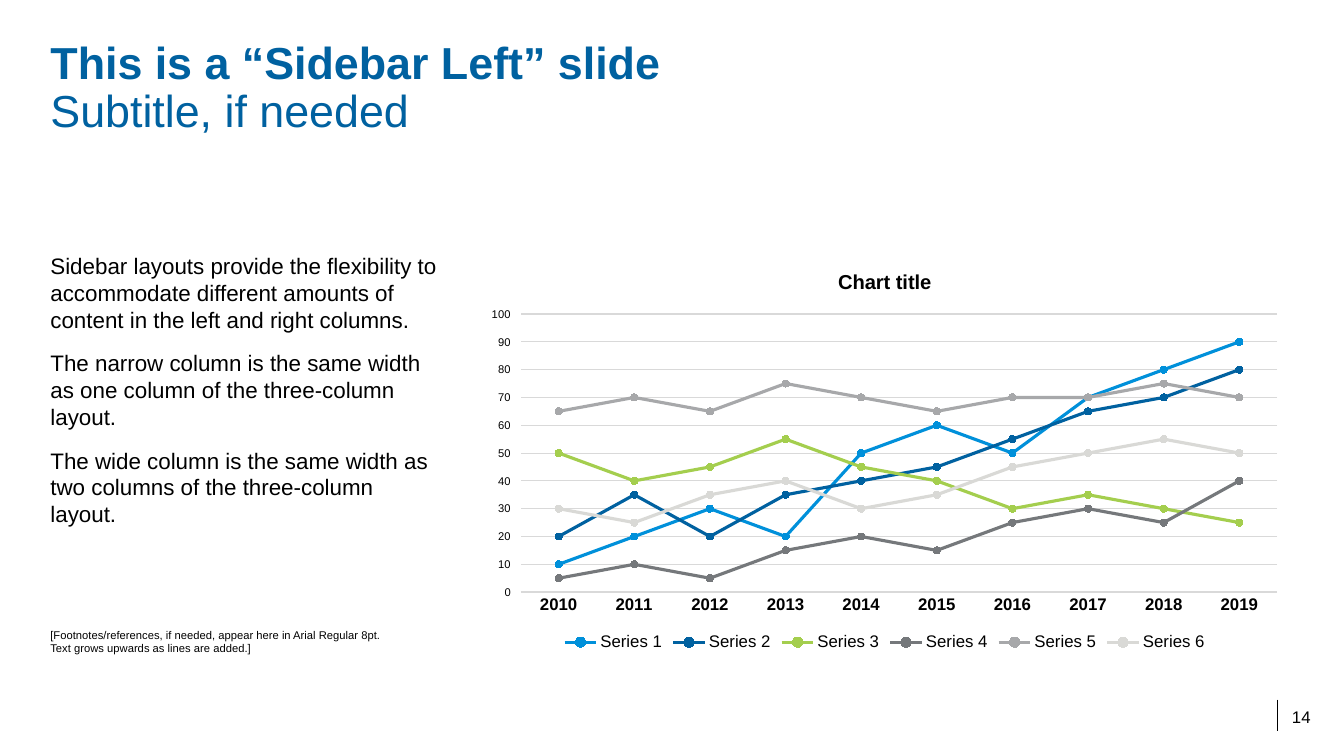
"""Build a sidebar-left slide with a line chart."""
from lxml.etree import SubElement
from pptx import Presentation
from pptx.chart.data import CategoryChartData
from pptx.dml.color import RGBColor
from pptx.enum.chart import XL_CHART_TYPE, XL_LEGEND_POSITION, XL_MARKER_STYLE, XL_TICK_MARK
from pptx.enum.shapes import MSO_CONNECTOR
from pptx.enum.text import MSO_ANCHOR, PP_ALIGN
from pptx.oxml import parse_xml
from pptx.oxml.ns import nsdecls, qn
from pptx.util import Inches, Pt

COLORS = {
    "text": "000000", "title": "0061A0", "grid": "D9D9D9",
    "Series 1": "0090DA", "Series 2": "0061A0", "Series 3": "A4CE4E",
    "Series 4": "75787B", "Series 5": "A7A8AA", "Series 6": "D9D9D6",
}
YEARS = [str(year) for year in range(2010, 2020)]
SERIES = {
    "Series 1": (10, 20, 30, 20, 50, 60, 50, 70, 80, 90),
    "Series 2": (20, 35, 20, 35, 40, 45, 55, 65, 70, 80),
    "Series 3": (50, 40, 45, 55, 45, 40, 30, 35, 30, 25),
    "Series 4": (5, 10, 5, 15, 20, 15, 25, 30, 25, 40),
    "Series 5": (65, 70, 65, 75, 70, 65, 70, 70, 75, 70),
    "Series 6": (30, 25, 35, 40, 30, 35, 45, 50, 55, 50),
}
PLOT_FRACTIONS = {"x": 0.055, "y": 0.154, "w": 0.925, "h": 0.69}
SIDEBAR = [
    "Sidebar layouts provide the flexibility to accommodate different amounts of "
    "content in the left and right columns.",
    "The narrow column is the same width as one column of the three-column layout.",
    "The wide column is the same width as two columns of the three-column layout.",
]
FOOTNOTES = [
    "[Footnotes/references, if needed, appear here in Arial Regular 8pt.",
    "Text grows upwards as lines are added.]",
]


def apply(target, values):
    """Set each attribute in values on target."""
    for name, value in values.items():
        setattr(target, name, value)


class SidebarSlide:
    """Hold the slide and its style, and add elements to it."""

    def __init__(self, deck, font="Arial"):
        """Start a title-only slide."""
        self.slide = deck.slides.add_slide(deck.slide_layouts[5])
        self.font = font

    def style(self, font, size, bold=False, color="text"):
        """Format a font."""
        apply(font, {"name": self.font, "size": Pt(size), "bold": bold})
        font.color.rgb = RGBColor.from_string(COLORS[color])

    def stroke(self, line, color, width):
        """Format a line."""
        line.color.rgb = RGBColor.from_string(COLORS[color])
        line.width = Pt(width)

    def frame(self, shape, anchor=MSO_ANCHOR.TOP, wrap=True):
        """Give a text frame zero margins and return it."""
        apply(shape.text_frame, {
            "margin_left": 0, "margin_right": 0, "margin_top": 0, "margin_bottom": 0,
            "word_wrap": wrap, "vertical_anchor": anchor,
        })
        return shape.text_frame

    def title(self, heading, subtitle, left, top, width, height):
        """Fill the title placeholder with a bold heading and a subtitle."""
        placeholder = self.slide.shapes.title
        apply(placeholder, {
            "left": Inches(left), "top": Inches(top),
            "width": Inches(width), "height": Inches(height),
        })
        paragraph = self.frame(placeholder).paragraphs[0]
        apply(paragraph, {"alignment": PP_ALIGN.LEFT, "line_spacing": 0.9})
        for words, bold in ((heading, True), (subtitle, False)):
            if not bold:
                paragraph.add_line_break()
            run = paragraph.add_run()
            run.text = words
            self.style(run.font, 32, bold, "title")

    def text(self, paragraphs, box, size, anchor=MSO_ANCHOR.TOP,
             align=PP_ALIGN.LEFT, before=0, wrap=True):
        """Add a text box with one paragraph per string."""
        shape = self.slide.shapes.add_textbox(*map(Inches, box))
        frame = self.frame(shape, anchor, wrap)
        for index, words in enumerate(paragraphs):
            paragraph = frame.add_paragraph() if index else frame.paragraphs[0]
            apply(paragraph, {"alignment": align, "space_before": Pt(before)})
            run = paragraph.add_run()
            run.text = words
            self.style(run.font, size)

    def rule(self, *ends):
        """Add a thin straight line."""
        line = self.slide.shapes.add_connector(MSO_CONNECTOR.STRAIGHT, *map(Inches, ends))
        self.stroke(line.line, "text", 1)
        SubElement(line._element.spPr, qn("a:effectLst"))

    def line_chart(self, title, categories, series, box):
        """Add a line chart with markers and a legend below."""
        data = CategoryChartData()
        data.categories = categories
        for name, values in series.items():
            data.add_series(name, values)
        chart = self.slide.shapes.add_chart(
            XL_CHART_TYPE.LINE_MARKERS, *map(Inches, box), data).chart
        self.style(chart.font, 12)
        apply(chart, {"has_title": True, "has_legend": True})
        heading = chart.chart_title.text_frame.paragraphs[0].add_run()
        heading.text = title
        self.style(heading.font, 14.4, True)
        apply(chart.legend, {"position": XL_LEGEND_POSITION.BOTTOM, "include_in_layout": False})
        self.style(chart.legend.font, 12)
        self.axes(chart)
        chart.plots[0].vary_by_categories = False
        for item in chart.plots[0].series:
            item.smooth = False
            self.stroke(item.format.line, item.name, 2.25)
            apply(item.marker, {"style": XL_MARKER_STYLE.CIRCLE, "size": 5})
            item.marker.format.fill.solid()
            item.marker.format.fill.fore_color.rgb = RGBColor.from_string(COLORS[item.name])
            self.stroke(item.marker.format.line, item.name, 0.75)
        self.place_plot(chart)

    def axes(self, chart):
        """Format both chart axes."""
        years, scale = chart.category_axis, chart.value_axis
        apply(years, {"major_tick_mark": XL_TICK_MARK.NONE, "has_major_gridlines": False})
        self.style(years.tick_labels.font, 12, True)
        self.stroke(years.format.line, "grid", 1.5)
        apply(scale, {
            "minimum_scale": 0, "maximum_scale": 100, "major_unit": 10,
            "major_tick_mark": XL_TICK_MARK.OUTSIDE, "has_major_gridlines": True,
        })
        self.style(scale.tick_labels.font, 8)
        scale.format.line.fill.background()
        self.stroke(scale.major_gridlines.format.line, "grid", 0.75)

    def place_plot(self, chart):
        """Fix the inner plot area as fractions of the chart."""
        area = chart._chartSpace.chart.plotArea
        for layout in area.findall(qn("c:layout")):
            area.remove(layout)
        modes = '<c:layoutTarget val="inner"/><c:xMode val="edge"/><c:yMode val="edge"/>'
        sizes = "".join(f'<c:{key} val="{value}"/>' for key, value in PLOT_FRACTIONS.items())
        area.insert(0, parse_xml(
            f'<c:layout {nsdecls("c")}><c:manualLayout>{modes}{sizes}</c:manualLayout></c:layout>'))


def main():
    """Build and save the deck."""
    deck = Presentation()
    apply(deck, {"slide_width": Inches(13.33), "slide_height": Inches(7.5)})
    page = SidebarSlide(deck)
    page.rule(12.67, 6.94, 12.67, 7.25)
    page.text(["14"], (12.5, 6.96, 0.5, 0.25), 12, MSO_ANCHOR.BOTTOM, PP_ALIGN.RIGHT, wrap=False)
    page.title("This is a “Sidebar Left” slide", "Subtitle, if needed", 0.5, 0.4, 12.33, 1.5)
    page.text(SIDEBAR, (0.5, 2.5, 3.89, 4), 16, before=12)
    page.line_chart("Chart title", YEARS, SERIES, (4.72, 2.5, 8.11, 4))
    page.text(FOOTNOTES, (0.5, 6.02, 12.33, 0.48), 8, MSO_ANCHOR.BOTTOM)
    deck.save("out.pptx")


if __name__ == "__main__":
    main()
